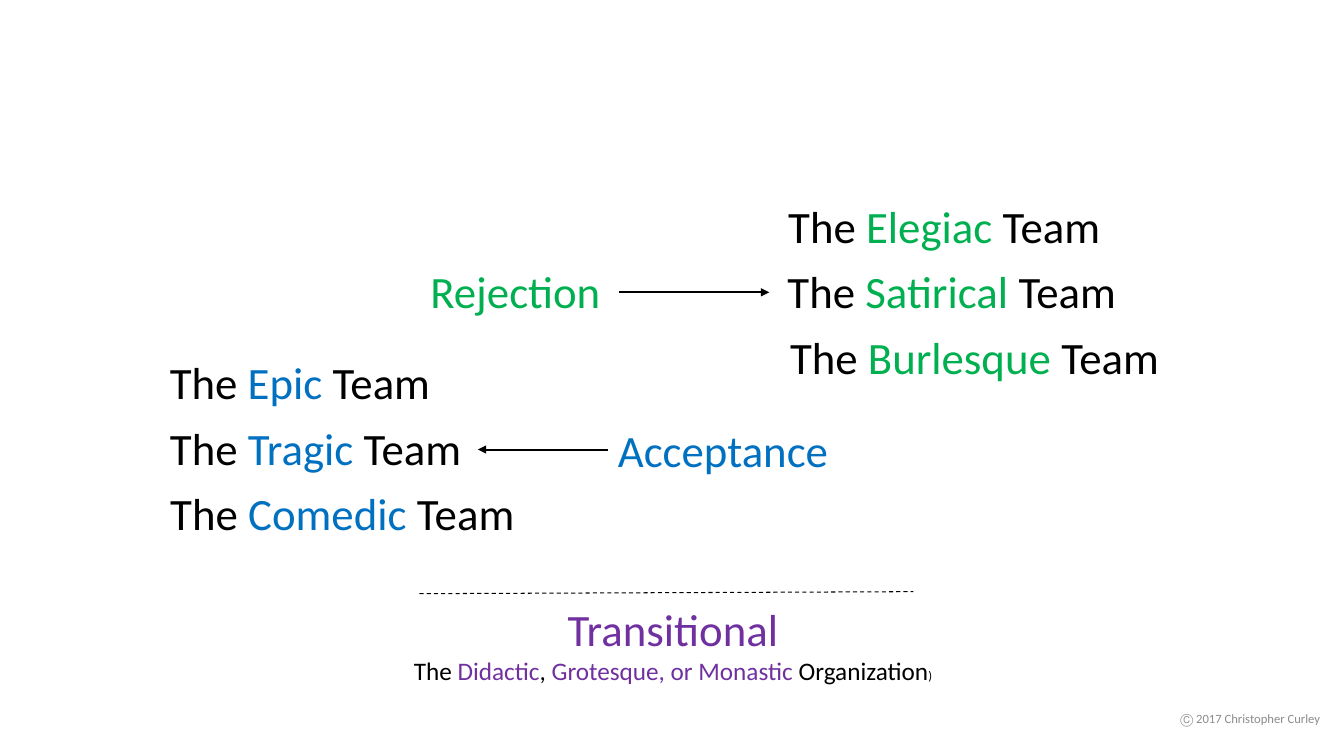
from dataclasses import dataclass

from lxml.etree import SubElement
from pptx import Presentation
from pptx.dml.color import RGBColor
from pptx.enum.dml import MSO_LINE_DASH_STYLE as Dash
from pptx.enum.shapes import MSO_CONNECTOR as Connector
from pptx.enum.text import MSO_ANCHOR as Anchor
from pptx.enum.text import MSO_AUTO_SIZE as AutoSize
from pptx.enum.text import PP_ALIGN as Align
from pptx.oxml.ns import qn
from pptx.slide import Slide
from pptx.util import Inches, Pt


@dataclass(frozen=True)
class Theme:
    font: str = "Calibri"
    black: str = "000000"
    blue: str = "0070C0"
    green: str = "00B050"
    purple: str = "7030A0"
    gray: str = "8C8C8C"
    large: float = 32
    medium: float = 18
    small: float = 9


THEME = Theme()


@dataclass(frozen=True)
class Span:
    text: str
    color: str = THEME.black
    size: float = THEME.large


@dataclass(frozen=True)
class Team:
    name: str
    left: float
    width: float


@dataclass(frozen=True)
class TeamGroup:
    color: str
    top: float
    teams: tuple[Team, ...]


@dataclass(frozen=True)
class Line:
    start: tuple[float, float]
    end: tuple[float, float]
    width: float = 1.5
    arrow: bool = True


ROW_STEP = 0.65
ROW_HEIGHT = 0.64

GROUPS = (
    TeamGroup(THEME.green, 1.92, (
        Team("Elegiac", 7.7, 3.33),
        Team("Satirical", 7.69, 3.5),
        Team("Burlesque", 7.72, 3.89),
    )),
    TeamGroup(THEME.blue, 3.47, (
        Team("Epic", 1.57, 2.81),
        Team("Tragic", 1.57, 3.12),
        Team("Comedic", 1.57, 3.65),
    )),
)

LINES = (
    Line((6.03, 4.46), (4.74, 4.46)),
    Line((6.14, 2.9), (7.63, 2.9)),
    Line((4.16, 5.89), (9.06, 5.87), width=0.75, arrow=False),
)


def add_text(slide: Slide, *paragraphs: list[Span], left: float, top: float,
             width: float, height: float = ROW_HEIGHT, align: Align = Align.CENTER,
             anchor: Anchor = Anchor.TOP, grow: bool = True) -> None:
    """Add a text box with one list of spans per paragraph."""
    shape = slide.shapes.add_textbox(
        Inches(left), Inches(top), Inches(width), Inches(height))
    frame = shape.text_frame
    frame.word_wrap = not grow
    frame.auto_size = AutoSize.SHAPE_TO_FIT_TEXT if grow else AutoSize.NONE
    frame.vertical_anchor = anchor
    for index, spans in enumerate(paragraphs):
        paragraph = frame.add_paragraph() if index else frame.paragraphs[0]
        paragraph.alignment = align
        for span in spans:
            run = paragraph.add_run()
            run.text = span.text
            run.font.name = THEME.font
            run.font.size = Pt(span.size)
            run.font.color.rgb = RGBColor.from_string(span.color)


def add_line(slide: Slide, line: Line) -> None:
    """Add a solid arrow, or a dashed line without a head."""
    connector = slide.shapes.add_connector(
        Connector.STRAIGHT, *(Inches(value) for value in line.start + line.end))
    connector.line.color.rgb = RGBColor.from_string(THEME.black)
    connector.line.width = Pt(line.width)
    if line.arrow:
        SubElement(connector.line._get_or_add_ln(), qn("a:tailEnd"), type="triangle")
    else:
        connector.line.dash_style = Dash.DASH
    SubElement(connector._element.spPr, qn("a:effectLst"))


def add_teams(slide: Slide, group: TeamGroup) -> None:
    """Stack the teams of one group at equal steps."""
    for row, team in enumerate(group.teams):
        add_text(slide, [Span("The "), Span(team.name, group.color), Span(" Team")],
                 left=team.left, top=group.top + row * ROW_STEP, width=team.width)


def main() -> None:
    presentation = Presentation()
    presentation.slide_width = Inches(13.33)
    presentation.slide_height = Inches(7.5)
    slide = presentation.slides.add_slide(presentation.slide_layouts[6])

    # Attitudes and the teams they lead to
    add_text(slide, [Span("Acceptance", THEME.blue)],
             left=6.03, top=4.14, width=2.31, align=Align.LEFT)
    add_text(slide, [Span("Rejection", THEME.green)],
             left=4.17, top=2.57, width=1.91, align=Align.LEFT)
    for group in GROUPS:
        add_teams(slide, group)

    # Arrows and divider
    for line in LINES:
        add_line(slide, line)

    # Transitional organizations
    add_text(
        slide,
        [Span("Transitional", THEME.purple)],
        [
            Span("The ", size=THEME.medium),
            Span("Didactic", THEME.purple, THEME.medium),
            Span(", ", size=THEME.medium),
            Span("Grotesque, or Monastic", THEME.purple, THEME.medium),
            Span(" Organization", size=THEME.medium),
            Span(")", size=THEME.small),
        ],
        left=3.97, top=5.92, width=5.41, height=0.94)

    # Footer
    add_text(slide, [Span("Ⓒ 2017 Christopher Curley", THEME.gray, THEME.small)],
             left=11.59, top=6.93, width=1.62, height=0.4,
             anchor=Anchor.MIDDLE, grow=False)

    presentation.save("out.pptx")


if __name__ == "__main__":
    main()
